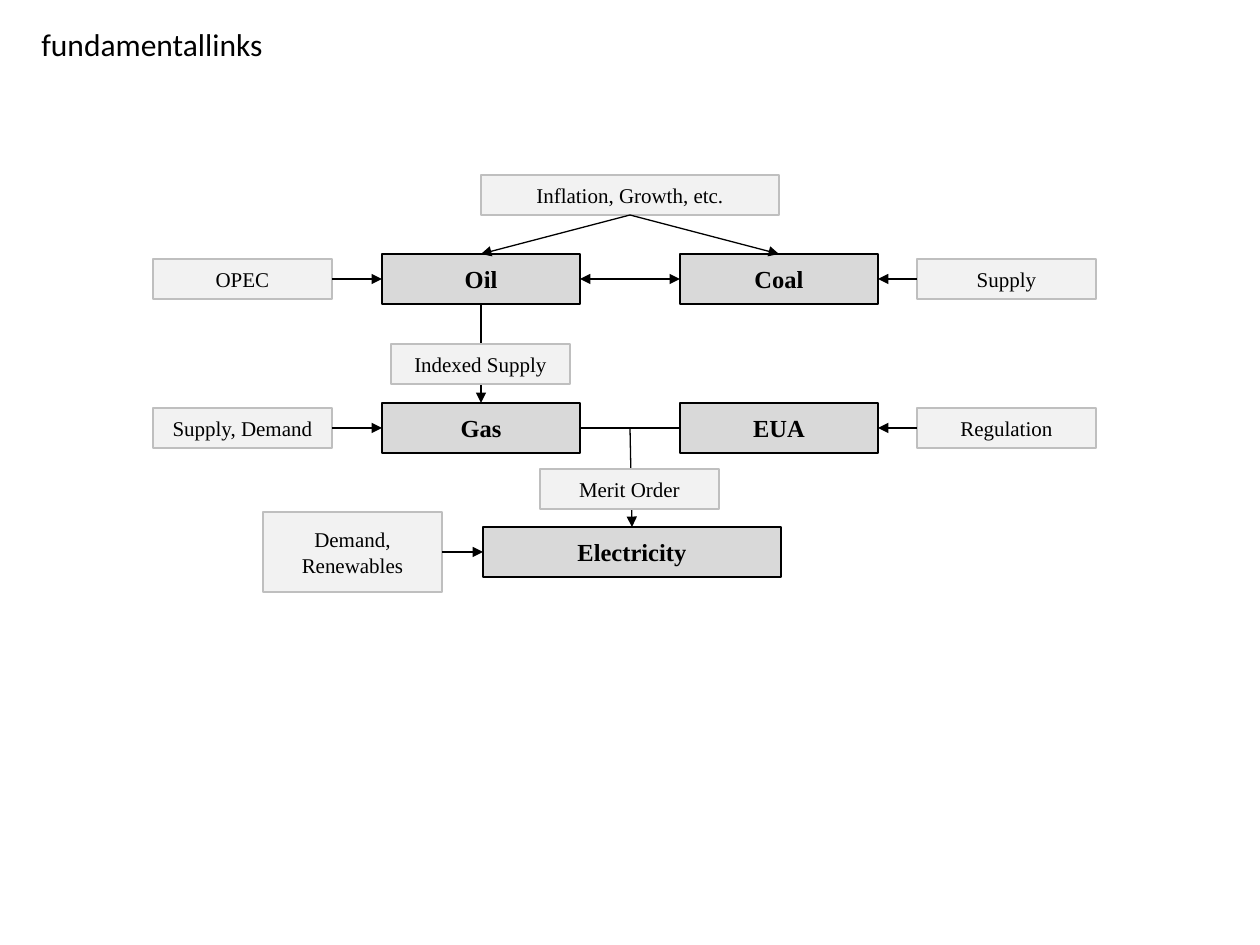
from dataclasses import dataclass

from lxml.etree import SubElement
from pptx import Presentation
from pptx.dml.color import RGBColor as RGB
from pptx.enum.shapes import MSO_CONNECTOR as Link, MSO_SHAPE as Shape
from pptx.enum.text import MSO_ANCHOR as Anchor, MSO_AUTO_SIZE as Fit, PP_ALIGN as Align
from pptx.oxml.ns import qn
from pptx.util import Pt


@dataclass(frozen=True)
class Theme:
    ink: RGB = RGB(0, 0, 0)
    main: RGB = RGB(0xD9, 0xD9, 0xD9)
    note: RGB = RGB(0xF2, 0xF2, 0xF2)
    edge: RGB = RGB(0xBF, 0xBF, 0xBF)
    serif: str = "Times New Roman"
    sans: str = "Calibri"
    title: int = 18
    big: int = 14
    small: int = 12
    rule: float = 0.75


theme = Theme()
PX = 914400 / 126
TOP, LEFT, BOTTOM, RIGHT = range(4)

deck = Presentation()
deck.slide_width, deck.slide_height = round(1260 * PX), round(945 * PX)
slide = deck.slides.add_slide(deck.slide_layouts[6])
shapes = slide.shapes


def add_box(text, x, y, w, h, main=False):
    box = shapes.add_shape(Shape.RECTANGLE, *(round(v * PX) for v in (x, y, w, h)))
    box.shadow.inherit = False
    box.fill.solid()
    box.fill.fore_color.rgb = theme.main if main else theme.note
    box.line.color.rgb = theme.ink if main else theme.edge
    box.line.width = Pt(theme.rule)
    frame = box.text_frame
    frame.word_wrap = True
    frame.vertical_anchor = Anchor.MIDDLE
    para = frame.paragraphs[0]
    para.alignment = Align.CENTER
    run = para.add_run()
    run.text = text
    run.font.name = theme.serif
    run.font.size = Pt(theme.big if main else theme.small)
    run.font.bold = main
    run.font.color.rgb = theme.ink
    return box


def add_link(start, end, ends=("tailEnd",)):
    """Join two (box, side) pairs; a pair of numbers is a free point in px."""
    line = shapes.add_connector(Link.STRAIGHT, 0, 0, 0, 0)
    if isinstance(start[0], int):
        line.begin_x, line.begin_y = (round(v * PX) for v in start)
    else:
        line.begin_connect(*start)
    line.end_connect(*end)
    line.line.color.rgb = theme.ink
    line.line.width = Pt(theme.rule)
    for tag in ends:
        SubElement(line.line._get_or_add_ln(), qn(f"a:{tag}"), type="triangle")
    SubElement(line._element.spPr, qn("a:effectLst"))


# Title
label = shapes.add_textbox(*(round(v * PX) for v in (29, 19, 249, 50)))
label.text_frame.word_wrap = False
label.text_frame.auto_size = Fit.SHAPE_TO_FIT_TEXT
run = label.text_frame.paragraphs[0].add_run()
run.text = "fundamentallinks"
run.font.name = theme.sans
run.font.size = Pt(theme.title)
run.font.color.rgb = theme.ink

# Markets: two rows of two, with electricity below
box = {}
for row, names in enumerate((("Oil", "Coal"), ("Gas", "EUA"))):
    for col, name in enumerate(names):
        box[name] = add_box(name, 382 + 298 * col, 254 + 149 * row, 198, 50, True)
power = add_box("Electricity", 483, 527, 298, 50, True)

# Outside drivers, each with an arrow to its market
for text, x, y, h, goal, side in (
    ("OPEC", 153, 259, 40, box["Oil"], LEFT),
    ("Supply", 917, 259, 40, box["Coal"], RIGHT),
    ("Supply, Demand", 153, 408, 40, box["Gas"], LEFT),
    ("Regulation", 917, 408, 40, box["EUA"], RIGHT),
    ("Demand, Renewables", 263, 512, 80, power, LEFT),
):
    note = add_box(text, x, y, 179, h)
    add_link((note, RIGHT if side == LEFT else LEFT), (goal, side))

# Economy drives oil and coal
economy = add_box("Inflation, Growth, etc.", 481, 175, 298, 40)
for name in ("Oil", "Coal"):
    add_link((economy, BOTTOM), (box[name], TOP))

# Links between markets
add_link((box["Oil"], RIGHT), (box["Coal"], LEFT), ("headEnd", "tailEnd"))
add_link((box["Gas"], RIGHT), (box["EUA"], LEFT), ())
add_link((box["Oil"], BOTTOM), (box["Gas"], TOP))
add_link((630, 428), (power, TOP))

# Labels lying on the downward links
add_box("Indexed Supply", 391, 344, 179, 40)
add_box("Merit Order", 540, 469, 179, 40)

deck.save("out.pptx")
